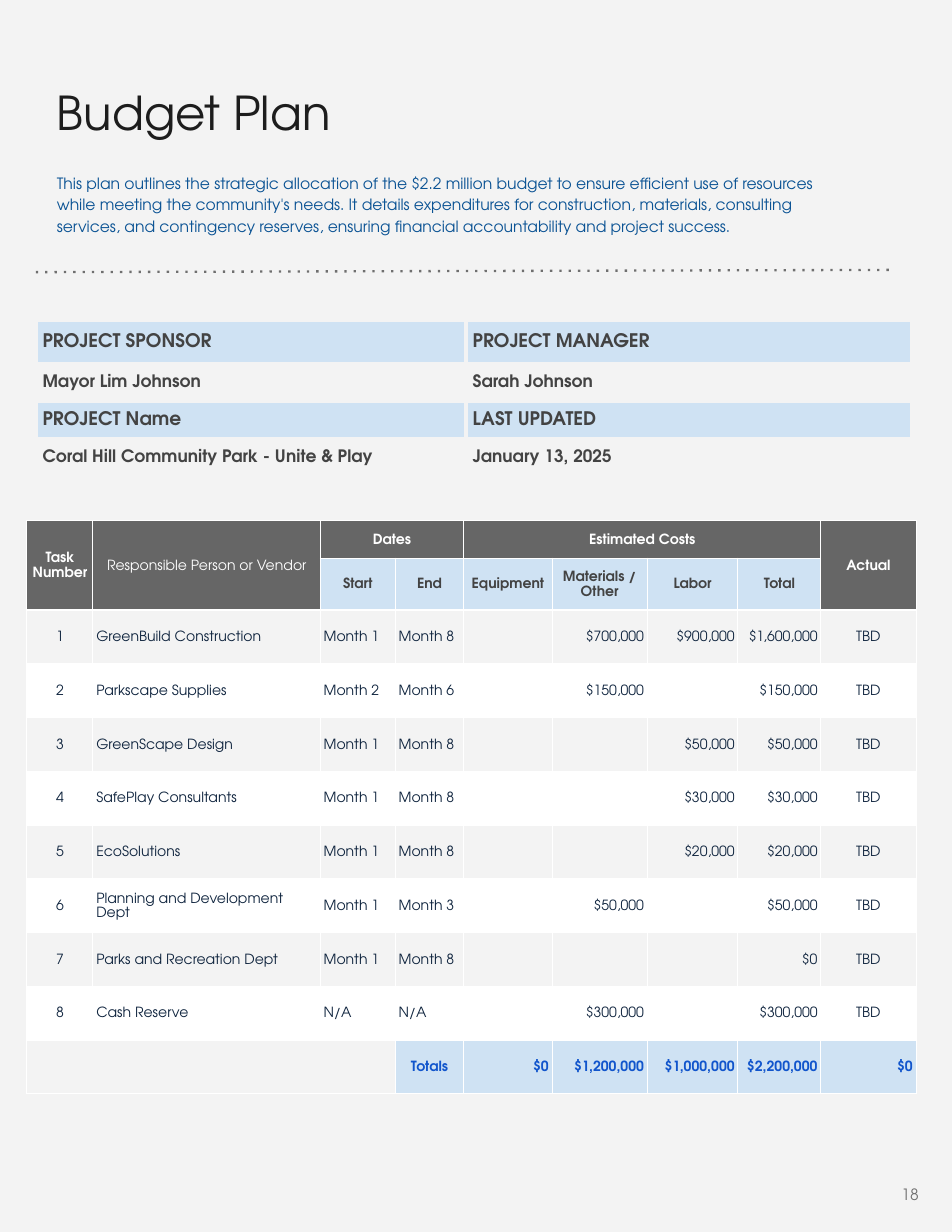
from lxml.etree import SubElement
from pptx import Presentation
from pptx.dml.color import RGBColor
from pptx.enum.dml import MSO_LINE
from pptx.enum.shapes import MSO_CONNECTOR
from pptx.enum.text import MSO_ANCHOR, PP_ALIGN
from pptx.oxml import parse_xml
from pptx.oxml.ns import nsdecls, qn
from pptx.util import Inches, Pt

TITLE = "Budget Plan"
INTRO = (
    "This plan outlines the strategic allocation of the $2.2 million budget to ensure "
    "efficient use of resources while meeting the community's needs. It details "
    "expenditures for construction, materials, consulting services, and contingency "
    "reserves, ensuring financial accountability and project success."
)
PAGE_NUMBER = "18"
PROJECT = [
    ("PROJECT SPONSOR", "PROJECT MANAGER"),
    ("Mayor Lim Johnson", "Sarah Johnson"),
    ("PROJECT Name", "LAST UPDATED"),
    ("Coral Hill Community Park - Unite & Play", "January 13, 2025"),
]
HEADERS = [
    ("Task Number", "Responsible Person or Vendor", "Dates", "", "Estimated Costs",
     "", "", "", "Actual"),
    ("", "", "Start", "End", "Equipment", "Materials / Other", "Labor", "Total", ""),
]
TASKS = [
    ("1", "GreenBuild Construction", "Month 1", "Month 8", "", "$700,000", "$900,000",
     "$1,600,000", "TBD"),
    ("2", "Parkscape Supplies", "Month 2", "Month 6", "", "$150,000", "", "$150,000", "TBD"),
    ("3", "GreenScape Design", "Month 1", "Month 8", "", "", "$50,000", "$50,000", "TBD"),
    ("4", "SafePlay Consultants", "Month 1", "Month 8", "", "", "$30,000", "$30,000", "TBD"),
    ("5", "EcoSolutions", "Month 1", "Month 8", "", "", "$20,000", "$20,000", "TBD"),
    ("6", "Planning and Development Dept", "Month 1", "Month 3", "", "$50,000", "",
     "$50,000", "TBD"),
    ("7", "Parks and Recreation Dept", "Month 1", "Month 8", "", "", "", "$0", "TBD"),
    ("8", "Cash Reserve", "N/A", "N/A", "", "$300,000", "", "$300,000", "TBD"),
]
TOTALS = ("", "", "", "Totals", "$0", "$1,200,000", "$1,000,000", "$2,200,000", "$0")

THEME = {
    "font": "TeX Gyre Adventor",
    "page": "F3F3F3", "white": "FFFFFF", "dark": "666666", "pale": "CFE2F3",
    "title": "1D1D1D", "intro": "0B5394", "label": "434343", "task": "0F243E",
    "total": "1155CC", "muted": "6F6F6F",
    "title_size": 30, "intro_size": 10, "heading_size": 12, "value_size": 11,
    "task_size": 9, "page_size": 10, "spacing": 1.15,
}
BUDGET_COLS = [0.59, 2.03, 0.67, 0.61, 0.79, 0.85, 0.81, 0.74, 0.85]
BUDGET_ROWS = [0.33, 0.46] + [0.48] * (len(TASKS) + 1)
BUDGET_SPANS = [(0, 0, 1, 0), (0, 1, 1, 1), (0, 2, 0, 3), (0, 4, 0, 7), (0, 8, 1, 8),
                (10, 0, 10, 2)]
PROJECT_COLS = [3.84, 3.98]
PROJECT_ROWS = [0.39, 0.33, 0.34, 0.33]
LEFT, CENTER, RIGHT = PP_ALIGN.LEFT, PP_ALIGN.CENTER, PP_ALIGN.RIGHT
TASK_ALIGN = [CENTER] + [LEFT] * 3 + [RIGHT] * 4 + [CENTER]
TOTAL_ALIGN = [CENTER] * 4 + [RIGHT] * 5


def rgb(name):
    return RGBColor.from_string(THEME[name])


def write(tf, text, size, color, bold=False, align=LEFT, spacing=None):
    p = tf.paragraphs[0]
    p.alignment = align
    if spacing:
        p.line_spacing = spacing
    if not text:
        SubElement(p._p, qn("a:endParaRPr"), sz=str(THEME[size] * 100))
        return
    r = p.add_run()
    r.text = text
    r.font.name = THEME["font"]
    r.font.size = Pt(THEME[size])
    r.font.bold = bold
    r.font.color.rgb = rgb(color)


def add_text(s, box, text, anchor=MSO_ANCHOR.MIDDLE, **fmt):
    tf = s.shapes.add_textbox(*map(Inches, box)).text_frame
    tf.word_wrap = True
    tf.vertical_anchor = anchor
    tf.margin_left = tf.margin_right = tf.margin_top = tf.margin_bottom = Inches(0.1)
    write(tf, text, **fmt)


def add_grid(s, left, top, cols, rows):
    table = s.shapes.add_table(len(rows), len(cols), Inches(left), Inches(top),
                               Inches(sum(cols)), Inches(sum(rows))).table
    table.first_row = table.horz_banding = False
    for column, width in zip(table.columns, cols):
        column.width = Inches(width)
    for row, height in zip(table.rows, rows):
        row.height = Inches(height)
    return table


def fill_cell(cell, text, fill, border, border_width, inset, **fmt):
    cell.vertical_anchor = MSO_ANCHOR.MIDDLE
    cell.margin_left = cell.margin_right = Inches(inset[0])
    cell.margin_top = cell.margin_bottom = Inches(inset[1])
    if fill:
        cell.fill.solid()
        cell.fill.fore_color.rgb = rgb(fill)
    else:
        cell.fill.background()
    tc_pr = cell._tc.get_or_add_tcPr()
    for i, side in enumerate("LRTB"):
        tc_pr.insert(i, parse_xml(
            f'<a:ln{side} {nsdecls("a")} w="{Pt(border_width)}"><a:solidFill>'
            f'<a:srgbClr val="{THEME[border]}"/></a:solidFill></a:ln{side}>'))
    write(cell.text_frame, text, **fmt)


def budget_format(row, col):
    """Fill, text colour, weight and alignment for one cell of the budget table."""
    if row < len(HEADERS):
        if row == 0 or col in (0, 1, 8):
            return dict(fill="dark", color="white", bold=col != 1, align=CENTER)
        return dict(fill="pale", color="label", bold=True, align=CENTER)
    if row == len(BUDGET_ROWS) - 1:
        return dict(fill="page" if col < 3 else "pale", color="total", bold=True,
                    align=TOTAL_ALIGN[col])
    return dict(fill="white" if row % 2 else "page", color="task", align=TASK_ALIGN[col])


def add_budget(s):
    table = add_grid(s, 0.24, 4.65, BUDGET_COLS, BUDGET_ROWS)
    for r1, c1, r2, c2 in BUDGET_SPANS:
        table.cell(r1, c1).merge(table.cell(r2, c2))
    for i, values in enumerate(HEADERS + TASKS + [TOTALS]):
        for j, text in enumerate(values):
            fill_cell(table.cell(i, j), text, border="white", border_width=0.75,
                      inset=(0.03, 0.1), size="task_size", spacing=THEME["spacing"],
                      **budget_format(i, j))


def add_project(s):
    table = add_grid(s, 0.32, 2.86, PROJECT_COLS, PROJECT_ROWS)
    for i, values in enumerate(PROJECT):
        heading = i % 2 == 0
        for j, text in enumerate(values):
            fill_cell(table.cell(i, j), text, fill="pale" if heading else None,
                      border="page", border_width=3, inset=(0.06, 0),
                      size="heading_size" if heading else "value_size",
                      color="label", bold=True)


def add_divider(s):
    line = s.shapes.add_connector(MSO_CONNECTOR.STRAIGHT,
                                  *map(Inches, (0.32, 2.43, 7.95, 2.41)))
    line.line.color.rgb = rgb("muted")
    line.line.width = Pt(1.5)
    line.line.dash_style = MSO_LINE.ROUND_DOT
    line.line._ln.find(qn("a:prstDash")).set("val", "dot")
    SubElement(line._element.spPr, qn("a:effectLst"))


def main():
    prs = Presentation()
    prs.slide_width, prs.slide_height = Inches(8.5), Inches(11)
    s = prs.slides.add_slide(prs.slide_layouts[6])
    s.background.fill.solid()
    s.background.fill.fore_color.rgb = rgb("page")
    add_budget(s)
    add_project(s)
    add_text(s, (0.41, 0.64, 7.18, 0.71), TITLE, size="title_size", color="title")
    add_divider(s)
    add_text(s, (0.41, 1.43, 7.21, 0.77), INTRO, size="intro_size", color="intro",
             spacing=THEME["spacing"])
    add_text(s, (7.79, 10.5, 0.51, 0.84), PAGE_NUMBER, anchor=MSO_ANCHOR.TOP,
             size="page_size", color="muted", align=RIGHT)
    prs.save("out.pptx")


if __name__ == "__main__":
    main()
